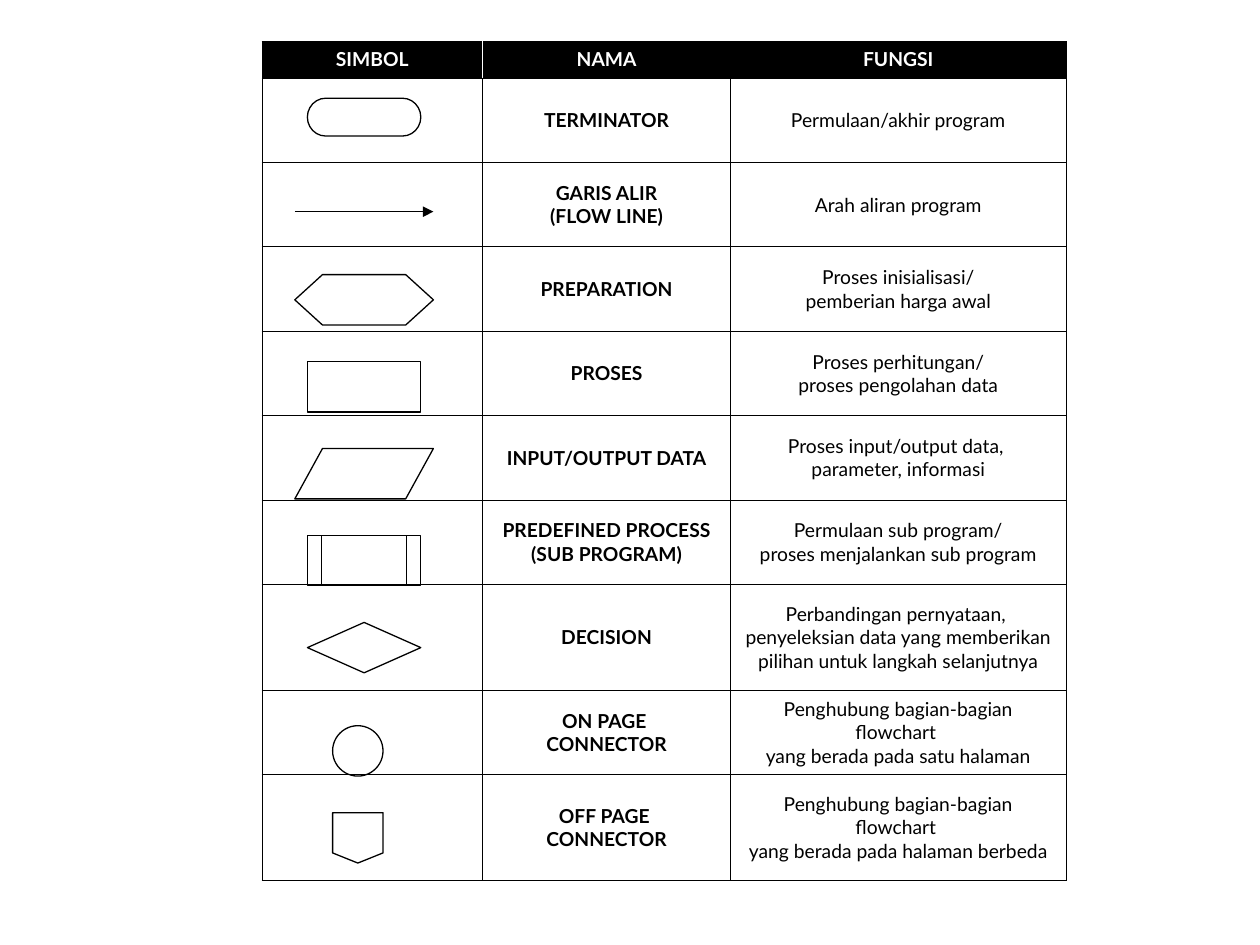
from pptx import Presentation, util as u
from pptx.dml.color import RGBColor
from pptx.enum import shapes, text
from pptx.oxml import ns
from lxml import etree

INK = {"black": "000000", "white": "FFFFFF"}
FONT = "Lato"
KIND = shapes.MSO_SHAPE
MID = 2.89
STEP = 0.69
COLS = [1.75, 1.97, 2.66]
HEADS = ["SIMBOL", "NAMA", "FUNGSI"]
ROWS = [
    (0.67, ["TERMINATOR"], ["Permulaan/akhir program"]),
    (0.67, ["GARIS ALIR", "(FLOW LINE)"], ["Arah aliran program"]),
    (0.67, ["PREPARATION"], ["Proses inisialisasi/", "pemberian harga awal"]),
    (0.67, ["PROSES"], ["Proses perhitungan/", "proses pengolahan data"]),
    (0.67, ["INPUT/OUTPUT DATA"],
     ["Proses input/output data, ", "parameter, informasi"]),
    (0.67, ["PREDEFINED PROCESS", "(SUB PROGRAM)"],
     ["Permulaan sub program/", "proses menjalankan sub program"]),
    (0.84, ["DECISION"],
     ["Perbandingan pernyataan, ", "penyeleksian data yang memberikan ",
      "pilihan untuk langkah selanjutnya"]),
    (0.67, ["ON PAGE ", "CONNECTOR"],
     ["Penghubung bagian-bagian flowchart ", "yang berada pada satu halaman"]),
    (0.84, ["OFF PAGE ", "CONNECTOR"],
     ["Penghubung bagian-bagian flowchart ", "yang berada pada halaman berbeda"]),
]
FLOW = [
    (KIND.FLOWCHART_PREPARATION, 1.1),
    (KIND.FLOWCHART_PROCESS, 0.9),
    (KIND.FLOWCHART_DATA, 1.1),
    (KIND.FLOWCHART_PREDEFINED_PROCESS, 0.9),
    (KIND.FLOWCHART_DECISION, 0.9),
]
LINKS = [KIND.FLOWCHART_CONNECTOR, KIND.FLOWCHART_OFFPAGE_CONNECTOR]


def shade(name):
    return RGBColor.from_string(INK[name])


def add_tag(root, tag, **keys):
    return etree.SubElement(root, ns.qn(tag), **keys)


def draw_line(line):
    line.color.rgb = shade("black")
    line.width = u.Pt(0.75)


def add_sign(slide, kind, mid, top, wide, high=0.4):
    sign = slide.shapes.add_shape(
        kind, u.Inches(mid - wide / 2), u.Inches(top),
        u.Inches(wide), u.Inches(high))
    sign.shadow.inherit = False
    sign.fill.solid()
    sign.fill.fore_color.rgb = shade("white")
    draw_line(sign.line)


def add_arrow(slide, left, right, top):
    arrow = slide.shapes.add_connector(
        shapes.MSO_CONNECTOR.STRAIGHT, u.Inches(left), u.Inches(top),
        u.Inches(right), u.Inches(top))
    draw_line(arrow.line)
    add_tag(arrow.line._get_or_add_ln(), "a:tailEnd", type="triangle")
    add_tag(arrow._element.spPr, "a:effectLst")


def set_edge(cell, pale):
    props = cell._tc.get_or_add_tcPr()
    for side in "LRTB":
        edge = add_tag(props, f"a:ln{side}", w=str(u.Pt(0.45)))
        fill = add_tag(edge, "a:solidFill")
        name = "white" if side == pale else "black"
        add_tag(fill, "a:srgbClr", val=INK[name])


def write_cell(cell, lines, bold, ink="black"):
    frame = cell.text_frame
    for num, line in enumerate(lines):
        para = frame.add_paragraph() if num else frame.paragraphs[0]
        para.alignment = text.PP_ALIGN.CENTER
        run = para.add_run()
        run.text = line
        run.font.name = FONT
        run.font.size = u.Pt(11)
        run.font.bold = bold
        run.font.color.rgb = shade(ink)


def add_grid(slide):
    highs = [0.29] + [row[0] for row in ROWS]
    frame = slide.shapes.add_table(
        len(highs), len(COLS), u.Inches(2.08), u.Inches(0.33),
        u.Inches(sum(COLS)), u.Inches(sum(highs)))
    grid = frame.table
    grid.first_row = grid.horz_banding = False
    for col, wide in zip(grid.columns, COLS):
        col.width = u.Inches(wide)
    for row, high in zip(grid.rows, highs):
        row.height = u.Inches(high)

    for col, head in enumerate(HEADS):
        cell = grid.cell(0, col)
        set_edge(cell, {0: "R", 1: "L"}.get(col))
        cell.fill.solid()
        cell.fill.fore_color.rgb = shade("black")
        write_cell(cell, [head], True, "white")

    for row, (_, name, use) in enumerate(ROWS, 1):
        for col, lines in enumerate([[], name, use]):
            cell = grid.cell(row, col)
            set_edge(cell, None)
            cell.fill.background()
            cell.vertical_anchor = text.MSO_ANCHOR.MIDDLE
            write_cell(cell, lines, col == 1)


def main():
    deck = Presentation()
    deck.slide_width = u.Inches(10)
    deck.slide_height = u.Inches(7.5)
    slide = deck.slides.add_slide(deck.slide_layouts[6])
    add_arrow(slide, 2.34, 3.44, 1.68)
    add_sign(slide, KIND.FLOWCHART_TERMINATOR, MID, 0.78, 0.9, 0.3)
    for num, (kind, wide) in enumerate(FLOW):
        add_sign(slide, kind, MID, 2.18 + num * STEP, wide)
    for num, kind in enumerate(LINKS):
        add_sign(slide, kind, 2.84, 5.76 + num * STEP, 0.4)
    add_grid(slide)
    deck.save("out.pptx")


if __name__ == "__main__":
    main()
